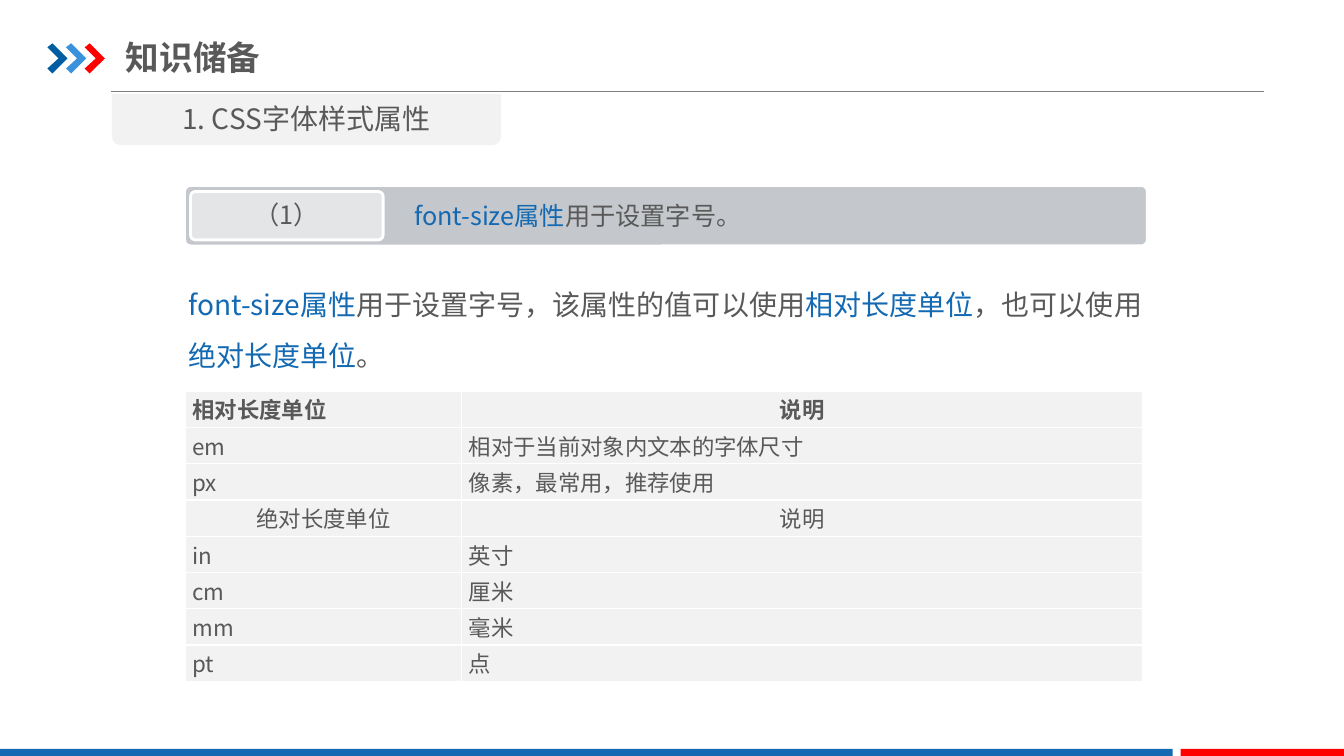
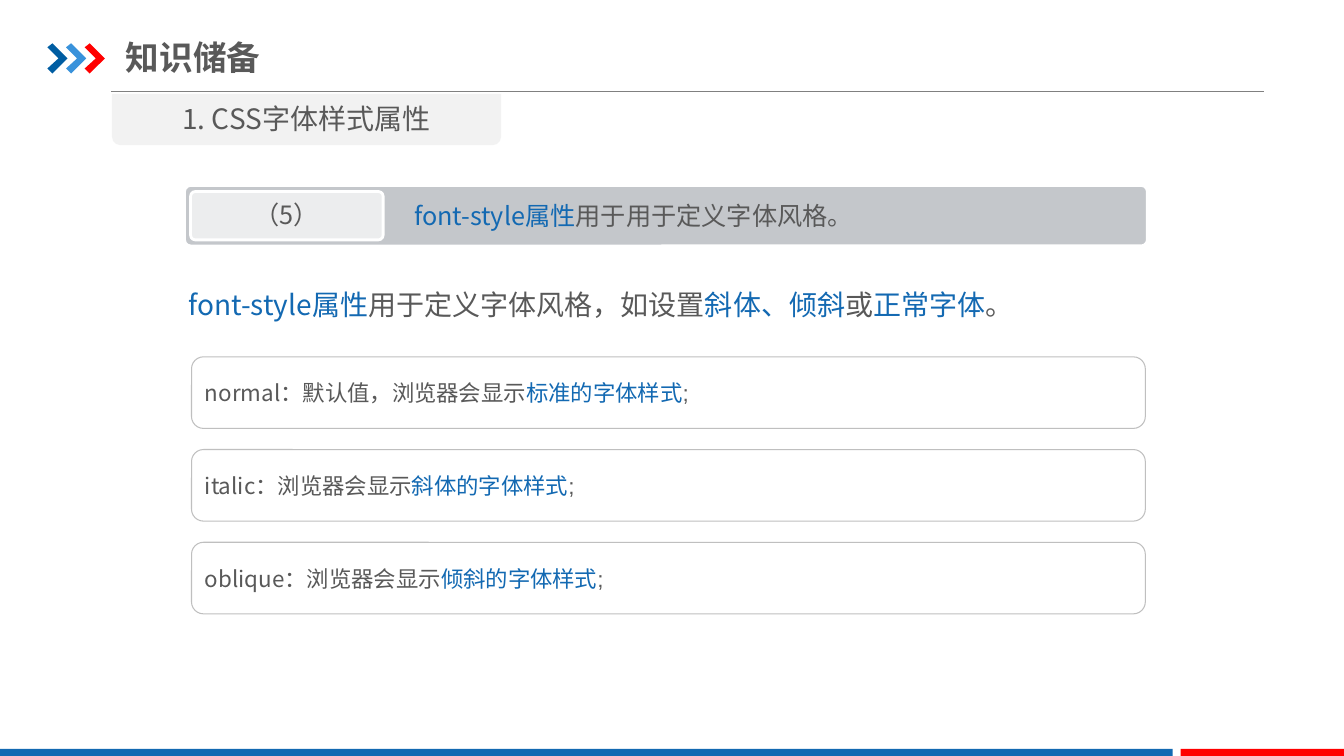
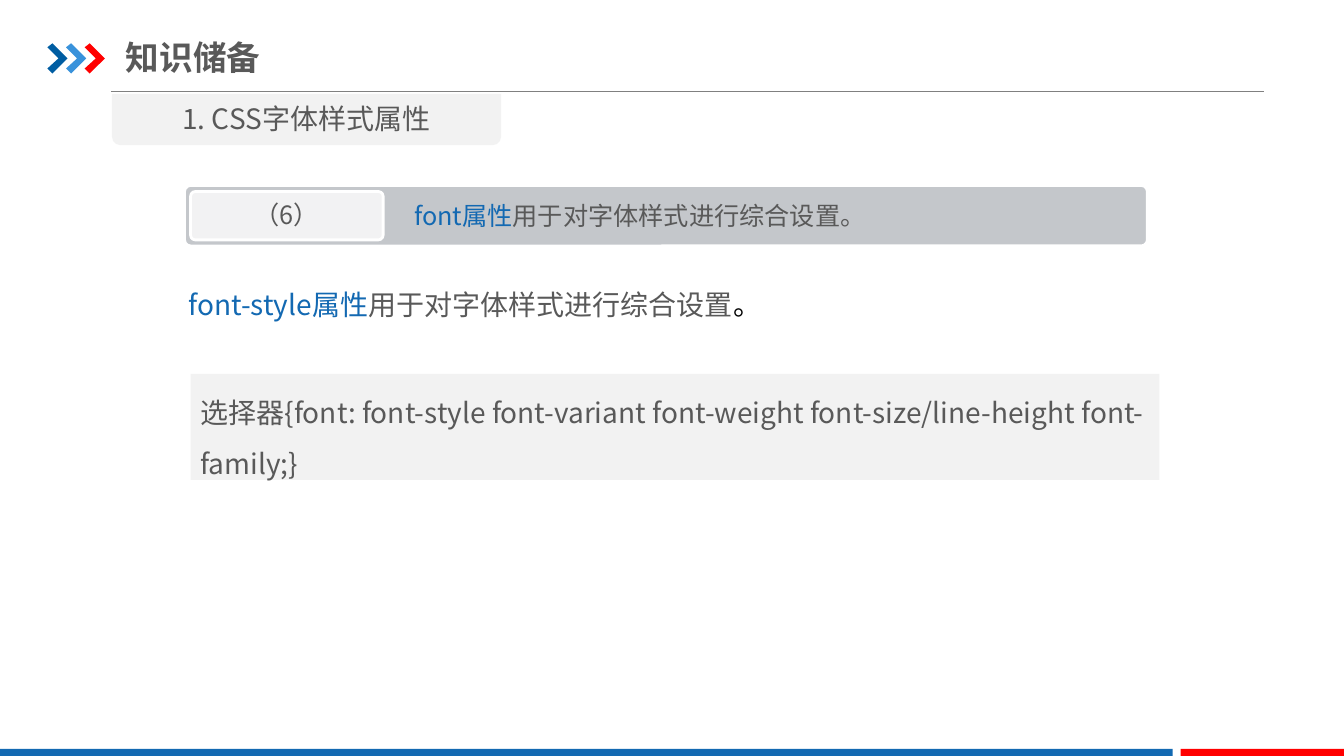
from dataclasses import dataclass

from lxml.etree import SubElement
from pptx import Presentation
from pptx.dml.color import RGBColor
from pptx.enum.shapes import MSO_CONNECTOR, MSO_SHAPE as Preset
from pptx.enum.text import MSO_ANCHOR as Anchor, PP_ALIGN as Align
from pptx.oxml.ns import qn
from pptx.util import Inches, Pt


@dataclass(frozen=True)
class Theme:
    font: str = "Noto Sans CJK SC"
    latin_font: str = "Arial"
    text: str = "595959"
    black: str = "000000"
    white: str = "FFFFFF"
    blue: str = "1369B2"
    dark_blue: str = "005DA2"
    light_blue: str = "3992DB"
    red: str = "FF0000"
    panel: str = "F2F2F2"
    bar: str = "C4C7CB"
    rule: str = "808080"
    outline: str = "BFBFBF"
    title_size: int = 24
    body_size: int = 20
    bar_size: int = 18
    small_size: int = 16


THEME = Theme()
NORMAL = (0.1, 0.05, 0.1, 0.05)


def color(value):
    return RGBColor.from_string(value)


def style_shape(shape, fill=None, line=None, width=0.75):
    shape.shadow.inherit = False
    if fill:
        shape.fill.solid()
        shape.fill.fore_color.rgb = color(fill)
    else:
        shape.fill.background()
    if line:
        shape.line.color.rgb = color(line)
        shape.line.width = Pt(width)
    else:
        shape.line.fill.background()


def add_box(shapes, preset, box, **style):
    shape = shapes.add_shape(preset, *map(Inches, box))
    style_shape(shape, **style)
    return shape


def write(frame, runs, size, align=Align.LEFT, spacing=None, bold=False):
    """Fill the first paragraph; a run is text, (text, colour) or (text, colour, font)."""
    paragraph = frame.paragraphs[0]
    paragraph.alignment = align
    if spacing:
        paragraph.line_spacing = spacing
    for item in runs:
        parts = (item,) if isinstance(item, str) else item
        text, tint, name = parts + (THEME.text, THEME.font)[len(parts) - 1:]
        run = paragraph.add_run()
        run.text = text
        run.font.size = Pt(size)
        run.font.bold = bold
        run.font.color.rgb = color(tint)
        run.font.name = name
        SubElement(run.font._element, qn("a:ea"), typeface=name)


def set_frame(frame, insets=NORMAL, anchor=Anchor.TOP):
    frame.word_wrap = True
    frame.vertical_anchor = anchor
    (frame.margin_left, frame.margin_top,
     frame.margin_right, frame.margin_bottom) = map(Inches, insets)


def add_text(shapes, box, runs, size, insets=NORMAL, anchor=Anchor.TOP, **style):
    frame = shapes.add_textbox(*map(Inches, box)).text_frame
    set_frame(frame, insets, anchor)
    write(frame, runs, size, **style)


def blue(text):
    return text, THEME.blue


def add_chevron(shapes, left, top, fill):
    outline = [(0, 0.04), (0.05, 0), (0.2, 0.15), (0.05, 0.3), (0, 0.25), (0.11, 0.15)]
    points = [(Inches(left + x), Inches(top + y)) for x, y in outline]
    builder = shapes.build_freeform(*points[0])
    builder.add_line_segments(points[1:], close=True)
    style_shape(builder.convert_to_shape(), fill=fill)


def add_header(slide, title, section):
    shapes = slide.shapes
    rule = shapes.add_connector(
        MSO_CONNECTOR.STRAIGHT, Inches(1.1), Inches(0.91), Inches(12.54), Inches(0.91))
    rule.line.color.rgb = color(THEME.rule)
    rule.line.width = Pt(0.75)
    SubElement(rule._element.spPr, qn("a:effectLst"))
    chevrons = shapes.add_group_shape().shapes
    for index, fill in enumerate((THEME.dark_blue, THEME.light_blue, THEME.red)):
        add_chevron(chevrons, 0.47 + 0.185 * index, 0.43, fill)
    add_text(shapes, (1.25, 0.29, 4.26, 0.55), [title], THEME.title_size,
             insets=(0, 0.07, 0, 0.07), anchor=Anchor.MIDDLE, bold=True)
    tab = add_box(shapes, Preset.ROUND_2_SAME_RECTANGLE, (1.11, 0.93, 3.86, 0.51),
                  fill=THEME.panel)
    tab.rotation = 180
    add_text(shapes, (1.11, 0.96, 3.86, 0.44), [section], THEME.body_size,
             align=Align.CENTER)


def add_footer(slide):
    for left, width, fill in ((0, 11.63, THEME.blue), (11.71, 1.62, THEME.red)):
        add_box(slide.shapes, Preset.RECTANGLE, (left, 7.43, width, 0.07), fill=fill)


def add_topic_bar(slide, box, number, runs, badge_fill):
    left, top, width, height = box
    gap, badge_width = 0.06, 1.91
    shapes = slide.shapes.add_group_shape().shapes
    for bounds, fill in (
            (box, THEME.bar),
            ((left + gap, top + gap, badge_width, height - 2 * gap), badge_fill)):
        shape = add_box(shapes, Preset.ROUNDED_RECTANGLE, bounds,
                        fill=fill, line=THEME.white, width=2)
        shape.adjustments[0] = 0.1
    add_text(shapes, (left + gap, top + 0.09, badge_width, 0.4), [number],
             THEME.bar_size, align=Align.CENTER)
    add_text(shapes, (left + 2.18, top + 0.1, 7.19, 0.4), runs, THEME.bar_size)


def add_topic_slide(presentation, number, topic, badge_fill, summary):
    """Add a slide with header, footer, numbered topic bar and summary text."""
    slide = presentation.slides.add_slide(presentation.slide_layouts[6])
    add_header(slide, "知识储备", "1. CSS字体样式属性")
    add_footer(slide)
    add_topic_bar(slide, (1.83, 1.84, 9.55, 0.6), number, topic, badge_fill)
    add_text(slide.shapes, (1.77, 2.64, 9.72, 1.11), summary, THEME.body_size, spacing=1.5)
    return slide


def set_borders(cell, tint):
    properties = cell._tc.get_or_add_tcPr()
    for index, side in enumerate(("lnL", "lnR", "lnT", "lnB")):
        line = properties.makeelement(qn(f"a:{side}"), {"w": str(Pt(1))})
        fill = SubElement(line, qn("a:solidFill"))
        SubElement(fill, qn("a:srgbClr"), val=tint)
        properties.insert(index, line)


def add_unit_table(slide, left, top, rows, column_widths, row_height, heading_rows):
    table = slide.shapes.add_table(
        len(rows), len(column_widths), Inches(left), Inches(top),
        Inches(sum(column_widths)), Inches(row_height * len(rows))).table
    table.first_row = table.horz_banding = False
    for column, width in zip(table.columns, column_widths):
        column.width = Inches(width)
    for row_index, texts in enumerate(rows):
        table.rows[row_index].height = Inches(row_height)
        for column_index, text in enumerate(texts):
            cell = table.cell(row_index, column_index)
            cell.fill.solid()
            cell.fill.fore_color.rgb = color(THEME.panel)
            set_borders(cell, THEME.white)
            cell.vertical_anchor = Anchor.MIDDLE
            cell.margin_left = cell.margin_right = Inches(0.07)
            cell.margin_top = cell.margin_bottom = 0
            centred = row_index in heading_rows and (row_index, column_index) != (0, 0)
            write(cell.text_frame, [text], THEME.small_size, bold=row_index == 0,
                  align=Align.CENTER if centred else Align.LEFT)


def add_value_boxes(slide, box, pitch, values):
    left, top, width, height = box
    for index, (meaning, result) in enumerate(values):
        shape = add_box(slide.shapes, Preset.ROUNDED_RECTANGLE,
                        (left, top + pitch * index, width, height), line=THEME.outline)
        set_frame(shape.text_frame, anchor=Anchor.MIDDLE)
        write(shape.text_frame,
              [meaning, blue(result), (";", THEME.text, THEME.latin_font)],
              THEME.small_size)


def add_code_panel(slide, box, code):
    panel = add_box(slide.shapes, Preset.RECTANGLE, box, fill=THEME.panel)
    set_frame(panel.text_frame)
    write(panel.text_frame, [code], THEME.body_size, spacing=1.5)


def build_font_size(presentation):
    slide = add_topic_slide(
        presentation, "（1）", [blue("font-size属性"), "用于设置字号。"], "E4E5E7",
        [blue("font-size属性"), "用于设置字号，该属性的值可以使用", blue("相对长度单位"),
         "，也可以使用", blue("绝对长度单位"), "。"])
    rows = [("相对长度单位", "说明"),
            ("em", "相对于当前对象内文本的字体尺寸"),
            ("px", "像素，最常用，推荐使用"),
            ("绝对长度单位", "说明"),
            ("in", "英寸"), ("cm", "厘米"), ("mm", "毫米"), ("pt", "点")]
    add_unit_table(slide, 1.84, 3.88, rows, (2.74, 6.75), 0.36, heading_rows=(0, 3))


def build_font_style(presentation):
    slide = add_topic_slide(
        presentation, "（5）", [blue("font-style属性"), "用于用于定义字体风格。"], "ECEDEE",
        [blue("font-style属性"), "用于定义字体风格，如设置", blue("斜体、倾斜"), "或",
         blue("正常字体"), "。"])
    add_value_boxes(slide, (1.9, 3.54, 9.46, 0.71), 0.92, [
        ("normal：默认值，浏览器会显示", "标准的字体样式"),
        ("italic：浏览器会显示", "斜体的字体样式"),
        ("oblique：浏览器会显示", "倾斜的字体样式")])


def build_font(presentation):
    slide = add_topic_slide(
        presentation, "（6）", [blue("font属性"), "用于对字体样式进行综合设置。"], "F2F2F3",
        [blue("font-style属性"), "用于对字体样式进行综合设置", ("。", THEME.black)])
    add_code_panel(
        slide, (1.89, 3.71, 9.61, 1.05),
        "选择器{font: font-style font-variant font-weight font-size/line-height font-family;}")


def main():
    presentation = Presentation()
    presentation.slide_width = Inches(13.33)
    presentation.slide_height = Inches(7.5)
    for build in (build_font_size, build_font_style, build_font):
        build(presentation)
    presentation.save("out.pptx")


if __name__ == "__main__":
    main()
